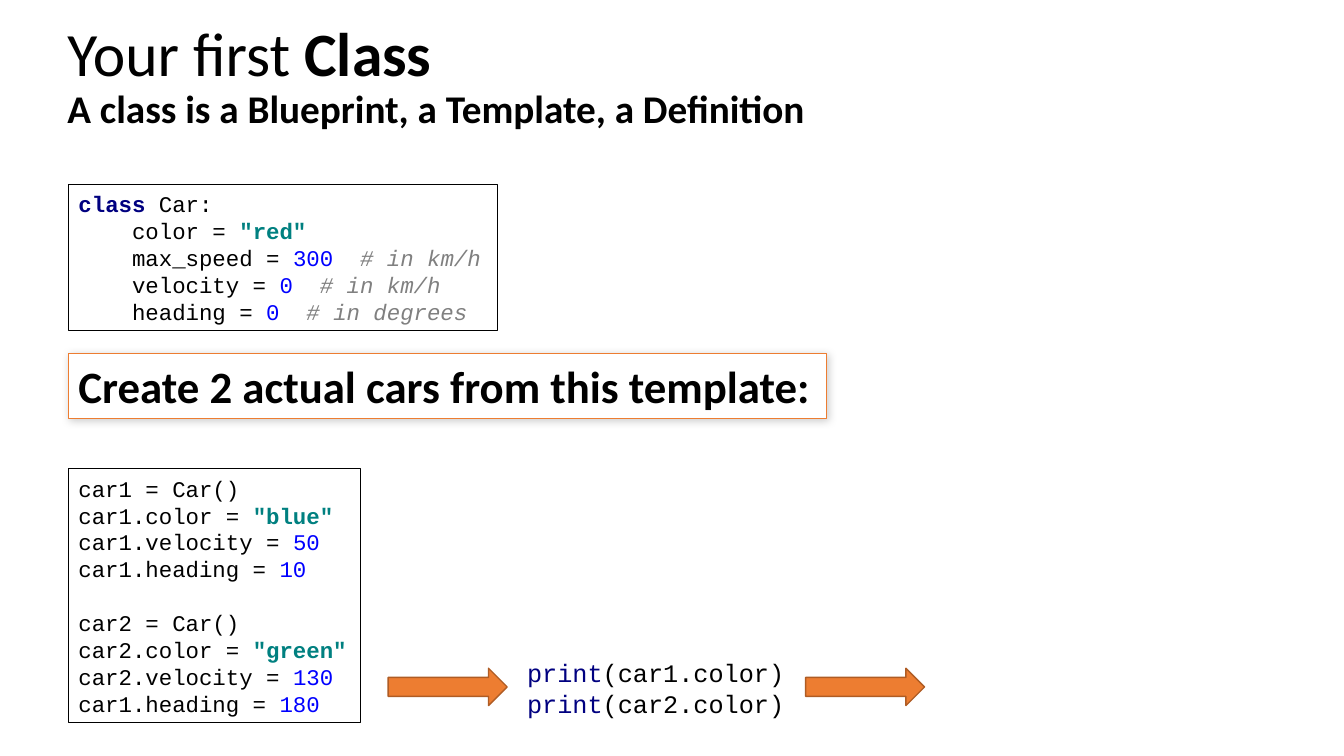
from copy import deepcopy
from dataclasses import dataclass

from lxml import etree
from pptx import Presentation
from pptx.dml.color import RGBColor
from pptx.enum.shapes import MSO_SHAPE
from pptx.enum.text import MSO_ANCHOR, MSO_AUTO_SIZE, PP_ALIGN
from pptx.oxml.ns import qn
from pptx.util import Inches, Pt

RECTANGLE = MSO_SHAPE.RECTANGLE
RIGHT_ARROW = MSO_SHAPE.RIGHT_ARROW
TOP, MIDDLE = MSO_ANCHOR.TOP, MSO_ANCHOR.MIDDLE
LEFT = PP_ALIGN.LEFT
FIT_SHAPE = MSO_AUTO_SIZE.SHAPE_TO_FIT_TEXT


@dataclass(frozen=True)
class Theme:
    body_font: str = "Calibri"
    code_font: str = "Courier New"
    title_size: int = 44
    subtitle_size: int = 28
    callout_size: int = 32
    code_size: int = 16
    print_size: int = 18
    black: str = "000000"
    white: str = "FFFFFF"
    accent: str = "ED7D31"
    accent_dark: str = "AF5C24"
    keyword: str = "000080"
    string: str = "008080"
    number: str = "0000FF"
    comment: str = "808080"


THEME = Theme()
KEYWORD = {"color": THEME.keyword, "bold": True}
BUILTIN = {"color": THEME.keyword}
STRING = {"color": THEME.string, "bold": True}
NUMBER = {"color": THEME.number}
COMMENT = {"color": THEME.comment, "italic": True}
PLAIN = {}

CLASS_CODE = [
    [("class ", KEYWORD), ("Car:", PLAIN)],
    [("    color = ", PLAIN), ('"red"', STRING)],
    [("    max_speed = ", PLAIN), ("300  ", NUMBER), ("# in km/h", COMMENT)],
    [("    velocity = ", PLAIN), ("0  ", NUMBER), ("# in km/h", COMMENT)],
    [("    heading = ", PLAIN), ("0  ", NUMBER), ("# in degrees", COMMENT)],
]
CARS_CODE = [
    [("car1 = Car()", PLAIN)],
    [("car1.color = ", PLAIN), ('"blue"', STRING)],
    [("car1.velocity = ", PLAIN), ("50", NUMBER)],
    [("car1.heading = ", PLAIN), ("10", NUMBER)],
    [],
    [("car2 = Car()", PLAIN)],
    [("car2.color = ", PLAIN), ('"green"', STRING)],
    [("car2.velocity = ", PLAIN), ("130", NUMBER)],
    [("car1.heading = ", PLAIN), ("180", NUMBER)],
]
PRINT_CODE = [
    [("print", BUILTIN), (f"({car}.color)", PLAIN)] for car in ("car1", "car2")
]


def add_span(para, text, *, font, size, color=THEME.black, bold=False, italic=False):
    span = para.add_run()
    span.text = text
    span.font.name = font
    span.font.size = Pt(size)
    span.font.color.rgb = RGBColor.from_string(color)
    span.font.bold = bold
    span.font.italic = italic


def write_lines(frame, lines, *, anchor=TOP, wrap=False, spacing=None, **base):
    """Write lines of (text, format) spans as one paragraph with line breaks."""
    frame.word_wrap = wrap
    frame.vertical_anchor = anchor
    para = frame.paragraphs[0]
    para.alignment = LEFT
    if spacing:
        para.line_spacing = spacing
    for number, line in enumerate(lines):
        if number:
            para.add_line_break()
        for text, style in line:
            add_span(para, text, **{**base, **style})
    first_format = para.runs[0].font._element
    for line_break in para._p.findall(qn("a:br")):
        line_break.append(deepcopy(first_format))


def add_panel(page, place, *, kind=RECTANGLE, fill=THEME.white, line=None, weight=0.75):
    panel = page.shapes.add_shape(kind, *map(Inches, place))
    panel.shadow.inherit = False
    panel.fill.solid()
    panel.fill.fore_color.rgb = RGBColor.from_string(fill)
    if line:
        panel.line.color.rgb = RGBColor.from_string(line)
        panel.line.width = Pt(weight)
    else:
        panel.line.fill.background()
    return panel


def add_title(page):
    title = page.shapes.add_textbox(*map(Inches, (0.57, 0.18, 8.71, 0.61)))
    lines = [
        [("Your first ", PLAIN), ("Class", {"bold": True})],
        [("A class is a Blueprint, a Template, a Definition",
          {"size": THEME.subtitle_size, "bold": True})],
    ]
    write_lines(title.text_frame, lines, wrap=True, spacing=0.9,
                font=THEME.body_font, size=THEME.title_size)


def add_code(page, place, lines, *, size=THEME.code_size, line=THEME.black):
    panel = add_panel(page, place, line=line)
    write_lines(panel.text_frame, lines, anchor=MIDDLE,
                font=THEME.code_font, size=size)
    panel.text_frame.auto_size = FIT_SHAPE


def add_soft_shadow(shape):
    effects = shape._element.spPr.find(qn("a:effectLst"))
    shadow = etree.SubElement(effects, qn("a:outerShdw"), blurRad=str(Pt(6)),
                              dist=str(Pt(1)), dir="2700000", rotWithShape="0")
    color = etree.SubElement(shadow, qn("a:srgbClr"), val=THEME.black)
    etree.SubElement(color, qn("a:alpha"), val="20000")


def add_callout(page, place, text):
    callout = add_panel(page, place, line=THEME.accent, weight=1)
    add_soft_shadow(callout)
    write_lines(callout.text_frame, [[(text, PLAIN)]], font=THEME.body_font,
                size=THEME.callout_size, bold=True)
    callout.text_frame.auto_size = FIT_SHAPE


def add_arrow(page, left):
    arrow = add_panel(page, (left, 6.63, 1.18, 0.37), kind=RIGHT_ARROW,
                      fill=THEME.accent, line=THEME.accent_dark, weight=1)
    arrow.adjustments[0] = 0.51
    arrow.adjustments[1] = 0.5


def main():
    deck = Presentation()
    deck.slide_width, deck.slide_height = Inches(13.33), Inches(7.5)
    page = deck.slides.add_slide(deck.slide_layouts[6])
    add_title(page)
    add_code(page, (0.68, 1.83, 4.25, 1.45), CLASS_CODE)
    add_code(page, (0.68, 4.65, 2.9, 2.52), CARS_CODE)
    add_callout(page, (0.68, 3.51, 7.52, 0.64),
                "Create 2 actual cars from this template:")
    add_code(page, (5.13, 6.47, 2.76, 0.71), PRINT_CODE,
             size=THEME.print_size, line=None)
    for left in (3.85, 7.99):
        add_arrow(page, left)
    deck.save("out.pptx")


if __name__ == "__main__":
    main()
